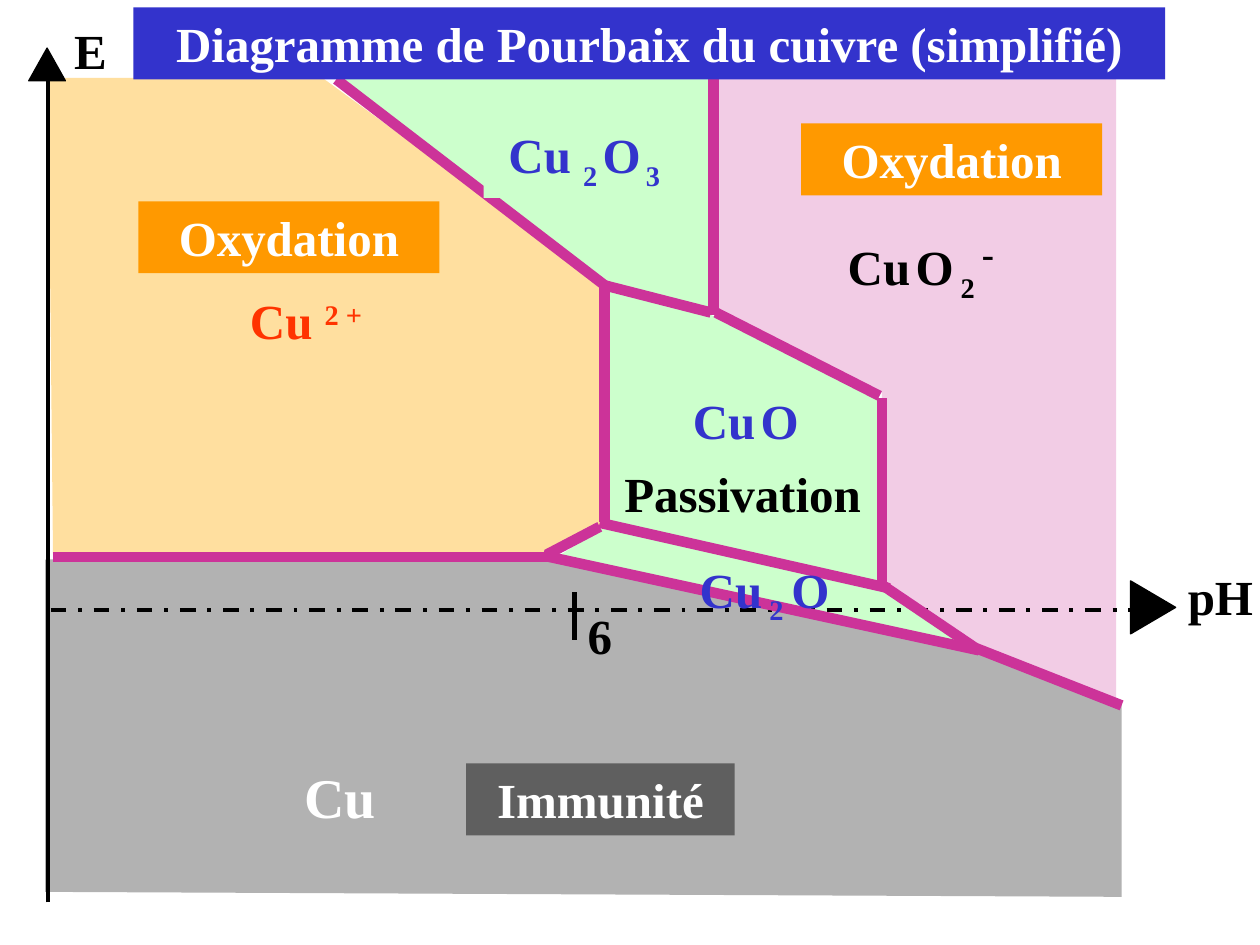
from lxml.etree import SubElement
from pptx import Presentation
from pptx.dml.color import RGBColor
from pptx.enum.dml import MSO_LINE
from pptx.enum.shapes import MSO_CONNECTOR, MSO_SHAPE
from pptx.enum.text import MSO_ANCHOR, MSO_AUTO_SIZE, PP_ALIGN
from pptx.oxml.ns import qn
from pptx.util import Cm, Pt

BLACK = RGBColor(0x00, 0x00, 0x00)
WHITE = RGBColor(0xFF, 0xFF, 0xFF)
GREEN = RGBColor(0xCC, 0xFF, 0xCC)
GREY = RGBColor(0xB2, 0xB2, 0xB2)
DARK_GREY = RGBColor(0x5F, 0x5F, 0x5F)
PINK = RGBColor(0xF2, 0xCC, 0xE5)
SAND = RGBColor(0xFF, 0xDF, 0x9F)
MAGENTA = RGBColor(0xCC, 0x33, 0x99)
BLUE = RGBColor(0x33, 0x33, 0xCC)
ORANGE = RGBColor(0xFF, 0x99, 0x00)
RED = RGBColor(0xFF, 0x33, 0x00)
SUB, SUPER = -25000, 30000

prs = Presentation()
prs.slide_width, prs.slide_height = Cm(25.4), Cm(19.05)
shapes = prs.slides.add_slide(prs.slide_layouts[6]).shapes


def draw_line(x1, y1, x2, y2, color=MAGENTA, width=6):
    line = shapes.add_connector(MSO_CONNECTOR.STRAIGHT, Cm(x1), Cm(y1), Cm(x2), Cm(y2))
    line.line.color.rgb = color
    line.line.width = Pt(width)
    SubElement(line._element.spPr, qn("a:effectLst"))
    return line


def add_label(box, runs, color, fill=None, align=PP_ALIGN.CENTER):
    """Each run is (text, size, baseline shift)."""
    place = [Cm(v) for v in box]
    if fill is None:
        label = shapes.add_textbox(*place)
    else:
        label = shapes.add_shape(MSO_SHAPE.RECTANGLE, *place)
        label.shadow.inherit = False
        label.fill.solid()
        label.fill.fore_color.rgb = fill
        label.line.fill.background()
    frame = label.text_frame
    frame.word_wrap = True
    frame.auto_size = MSO_AUTO_SIZE.SHAPE_TO_FIT_TEXT
    frame.vertical_anchor = MSO_ANCHOR.TOP
    paragraph = frame.paragraphs[0]
    paragraph.alignment = align
    for text, size, shift in runs:
        run = paragraph.add_run()
        run.text = text
        run.font.name = "Times New Roman"
        run.font.size = Pt(size)
        run.font.bold = True
        run.font.color.rgb = color
        if shift:
            run._r.get_or_add_rPr().set("baseline", str(shift))


# Stability domains
domains = [
    (GREEN, [(11.23, 11.23), (12.19, 10.62), (17.83, 11.84), (19.46, 12.95)]),
    (GREEN, [(12.24, 5.84), (12.24, 10.52), (17.78, 11.73), (17.73, 8.03), (14.33, 6.35)]),
    (GREEN, [(6.76, 1.52), (14.27, 1.52), (14.27, 6.2), (12.24, 5.74)]),
    (GREY, [(0.91, 17.98), (0.91, 11.28), (11.02, 11.23), (19.66, 13.11),
            (22.61, 14.17), (22.61, 18.08)]),
    (PINK, [(14.43, 1.42), (22.5, 1.37), (22.5, 14.12), (19.76, 13.06),
            (17.78, 11.79), (17.78, 7.92), (14.43, 6.25)]),
    (SAND, [(6.5, 1.57), (12.14, 5.69), (12.14, 10.57), (10.97, 11.23),
            (1.07, 11.23), (0.97, 1.57)]),
]
for color, points in domains:
    start, *others = [(Cm(x), Cm(y)) for x, y in points]
    outline = shapes.build_freeform(*start)
    outline.add_line_segments(others, close=True)
    domain = outline.convert_to_shape()
    domain.shadow.inherit = False
    domain.fill.solid()
    domain.fill.fore_color.rgb = color
    domain.line.fill.background()

# Axes with their triangular tips
draw_line(0.97, 18.19, 0.97, 1.52, BLACK, 2.25)
draw_line(1.02, 12.29, 23.11, 12.29, BLACK, 2.25).line.dash_style = MSO_LINE.DASH_DOT
for box, angle in [((0.58, 0.97, 0.74, 0.66), 0), ((22.71, 11.79, 1.07, 0.91), 90)]:
    tip = shapes.add_shape(MSO_SHAPE.ISOSCELES_TRIANGLE, *[Cm(v) for v in box])
    tip.rotation = angle
    tip.shadow.inherit = False
    tip.fill.solid()
    tip.fill.fore_color.rgb = BLACK
    tip.line.color.rgb = BLACK
    tip.line.width = Pt(0.75)

# Borders between domains
for border in [
    (1.07, 11.23, 11.07, 11.23),
    (12.19, 10.52, 12.19, 5.74),
    (12.24, 5.79, 6.78, 1.6),
    (12.14, 5.74, 14.33, 6.3),
    (11.02, 11.18, 12.09, 10.62),
    (14.38, 6.35, 14.38, 1.47),
    (14.43, 6.3, 17.73, 7.98),
    (17.78, 8.03, 17.78, 11.84),
    (17.78, 11.79, 19.66, 13.06),
    (19.66, 13.06, 22.61, 14.22),
]:
    draw_line(*border)

# Chemical species
add_label((4.52, 5.74, 3.3, 1.45), [("Cu ", 28, 0), ("2 +", 28, SUPER)], RED)
add_label((5.49, 15.24, 2.74, 1.63), [("Cu", 32, 0)], WHITE)
add_label((9.75, 2.39, 4.06, 1.6),
          [("Cu ", 28, 0), ("2", 28, SUB), (" ", 12, 0), ("O", 28, 0),
           (" ", 12, 0), ("3", 28, SUB)], BLUE, GREEN)
add_label((13.31, 7.75, 3.45, 1.45),
          [("Cu", 28, 0), (" ", 12, 0), ("O", 28, 0)], BLUE, GREEN)
add_label((16.61, 4.37, 3.91, 1.88),
          [("Cu", 28, 0), (" ", 12, 0), ("O", 28, 0), (" 2 ", 28, SUB),
           ("-", 36, SUPER)], BLACK)

# pH 6 mark
draw_line(11.58, 11.94, 11.58, 12.9, BLACK, 3)
add_label((11.18, 12.09, 1.83, 1.45), [("6", 28, 0)], BLACK)

# Narrow Cu2O band
draw_line(19.74, 13.11, 10.95, 11.2)
draw_line(17.93, 11.86, 12.09, 10.54)
add_label((13.74, 11.15, 3.35, 1.6),
          [("Cu", 28, 0), (" 2", 28, SUB), (" ", 18, 0), ("O", 28, 0)], BLUE)

# Behaviours, axis names and title
for left, top, width, text, color, fill, align in [
    (16.15, 2.49, 6.07, "Oxydation", WHITE, ORANGE, PP_ALIGN.CENTER),
    (2.79, 4.06, 6.07, "Oxydation", WHITE, ORANGE, PP_ALIGN.CENTER),
    (9.4, 15.39, 5.41, "Immunité", WHITE, DARK_GREY, PP_ALIGN.CENTER),
    (0.81, 0.28, 2.03, "E", BLACK, None, PP_ALIGN.CENTER),
    (23.27, 11.3, 2.24, "pH", BLACK, None, PP_ALIGN.RIGHT),
    (2.69, 0.15, 20.8, "Diagramme de Pourbaix du cuivre (simplifié)", WHITE, BLUE,
     PP_ALIGN.CENTER),
    (12.01, 9.22, 5.92, "Passivation", BLACK, None, PP_ALIGN.CENTER),
]:
    add_label((left, top, width, 1.45), [(text, 28, 0)], color, fill, align)

prs.save("out.pptx")
